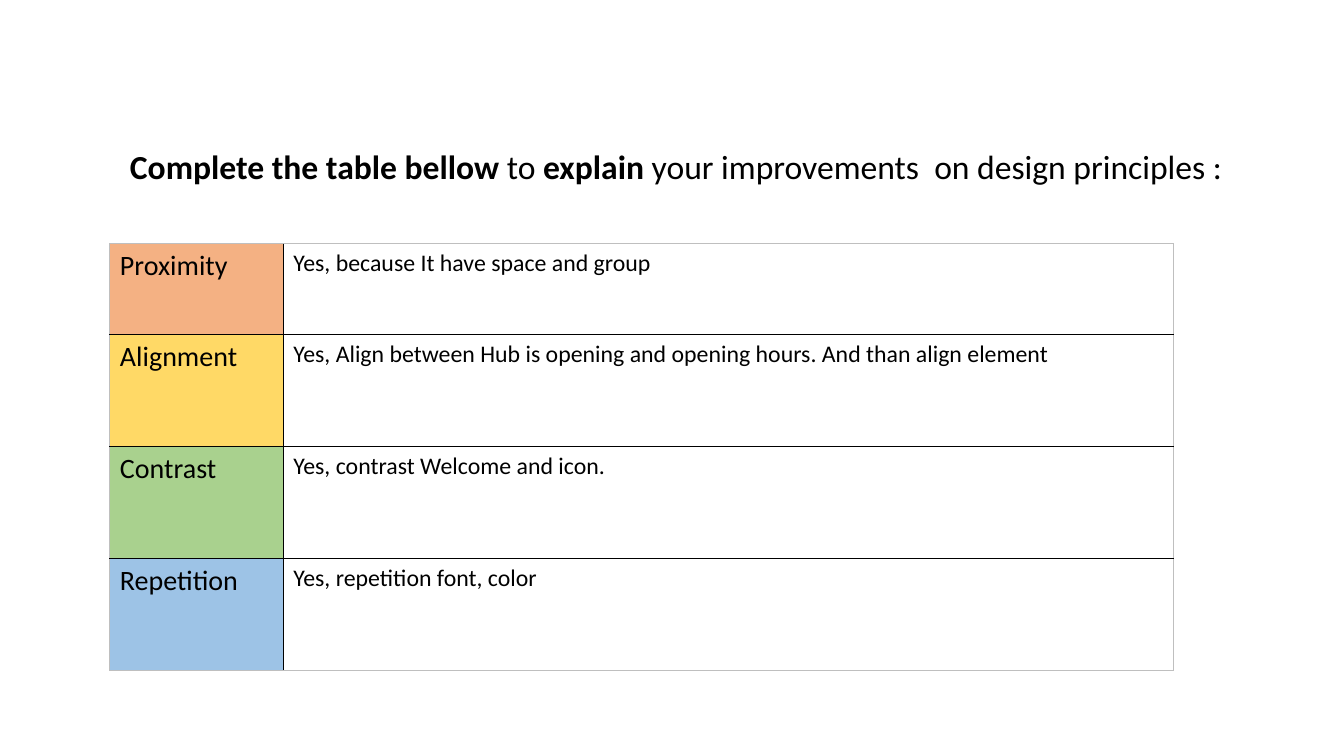
from pptx import Presentation
from pptx.dml.color import RGBColor as Rgb
from pptx.enum.text import MSO_ANCHOR as Anchor, PP_ALIGN as Align
from pptx.oxml import parse_xml
from pptx.oxml.ns import nsdecls
from pptx.util import Inches as In, Pt

WIDE, HIGH = In(13.33), In(7.5)
INK, EDGE = "000000", "BFBFBF"
TITLE = [
    ("Complete the table bellow ", True),
    ("to ", False),
    ("explain", True),
    (" your improvements  on design principles :", False),
]
# Principle, fill, answer, row height
ROWS = [
    ("Proximity", "F4B183", "Yes, because It have space and group", 0.9),
    ("Alignment", "FFD966", "Yes, Align between Hub is opening and opening "
     "hours. And than align element", 1.11),
    ("Contrast", "A9D18E", "Yes, contrast Welcome and icon.", 1.11),
    ("Repetition", "9DC3E6", "Yes, repetition font, color", 1.11),
]
COLS = (1.72, 8.83)


def color(text):
    return Rgb.from_string(text)


def style(font, size, bold=False):
    form = {"name": "Calibri", "size": Pt(size), "bold": bold}
    for key, value in form.items():
        setattr(font, key, value)
    font.color.rgb = color(INK)


def put_title(slide, box):
    title = slide.shapes.title
    for key, value in zip(("left", "top", "width", "height"), box):
        setattr(title, key, value)
    frame = title.text_frame
    frame.word_wrap = True
    frame.vertical_anchor = Anchor.MIDDLE
    par = frame.paragraphs[0]
    par.alignment = Align.CENTER
    par.line_spacing = 1.0
    for words, bold in TITLE:
        run = par.add_run()
        run.text = words
        style(run.font, 24, bold)


def edge(cell, side, hue, width):
    props = cell._tc.get_or_add_tcPr()
    props.append(parse_xml(
        f'<a:{side} {nsdecls("a")} w="{Pt(width)}"><a:solidFill>'
        f'<a:srgbClr val="{hue}"/></a:solidFill></a:{side}>'))


def put_cell(cell, words, size, fill, inner):
    cell.text = words
    style(cell.text_frame.paragraphs[0].runs[0].font, size)
    # Black rules inside, thin grey ones round the outside
    for side, inside in zip(("lnL", "lnR", "lnT", "lnB"), inner):
        edge(cell, side, *((INK, 1) if inside else (EDGE, 0.75)))
    if fill:
        cell.fill.solid()
        cell.fill.fore_color.rgb = color(fill)
    else:
        cell.fill.background()


def put_table(slide, box):
    grid = slide.shapes.add_table(len(ROWS), len(COLS), *box).table
    grid.first_row = grid.horz_banding = False
    for col, width in zip(grid.columns, COLS):
        col.width = int(box[2] * width / sum(COLS))
    total = sum(row[-1] for row in ROWS)
    for i, (name, fill, answer, tall) in enumerate(ROWS):
        grid.rows[i].height = int(box[3] * tall / total)
        above, below = i > 0, i < len(ROWS) - 1
        put_cell(grid.cell(i, 0), name, 20, fill, (False, True, above, below))
        put_cell(grid.cell(i, 1), answer, 17, None, (True, False, above, below))


deck = Presentation()
deck.slide_width, deck.slide_height = WIDE, HIGH
page = deck.slides.add_slide(deck.slide_layouts[5])
put_title(page, (In(0.93), In(1.4), In(11.55), In(0.5)))
put_table(page, (In(1.09), In(2.42), In(sum(COLS)), In(4.23)))
deck.save("out.pptx")
